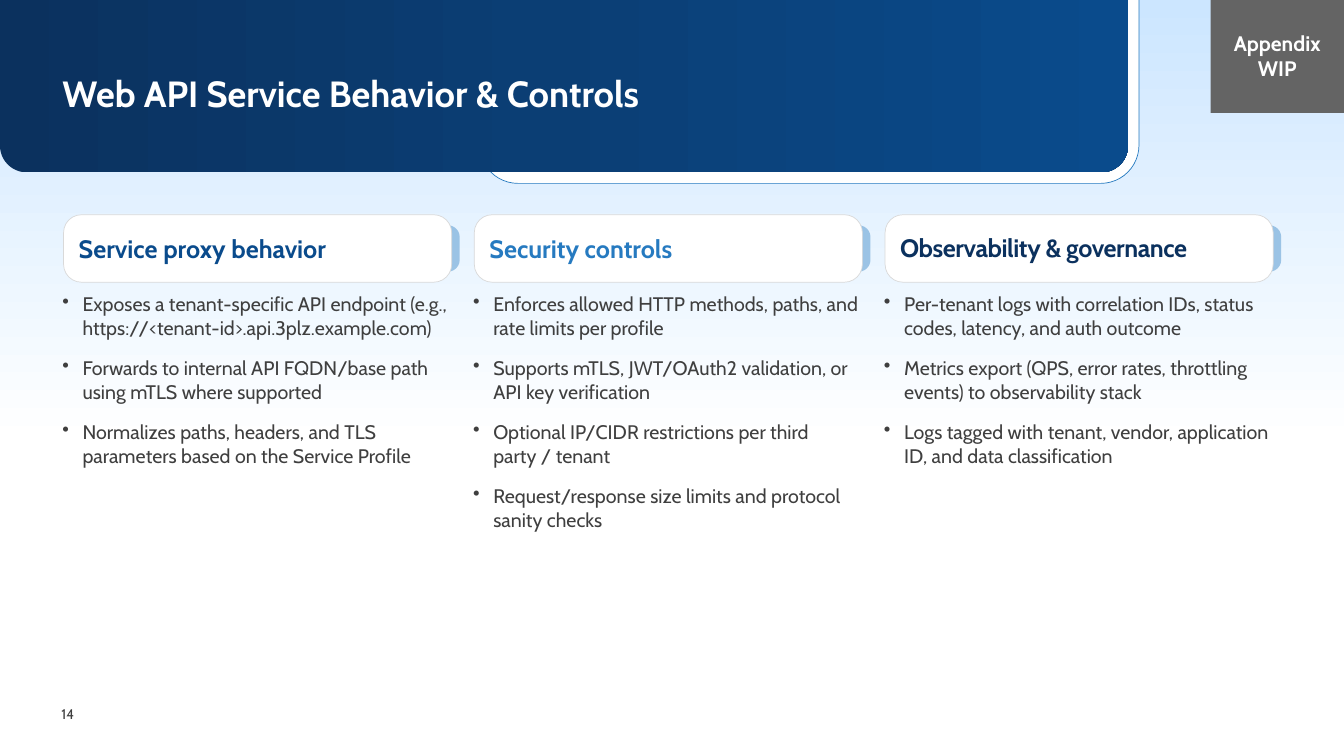
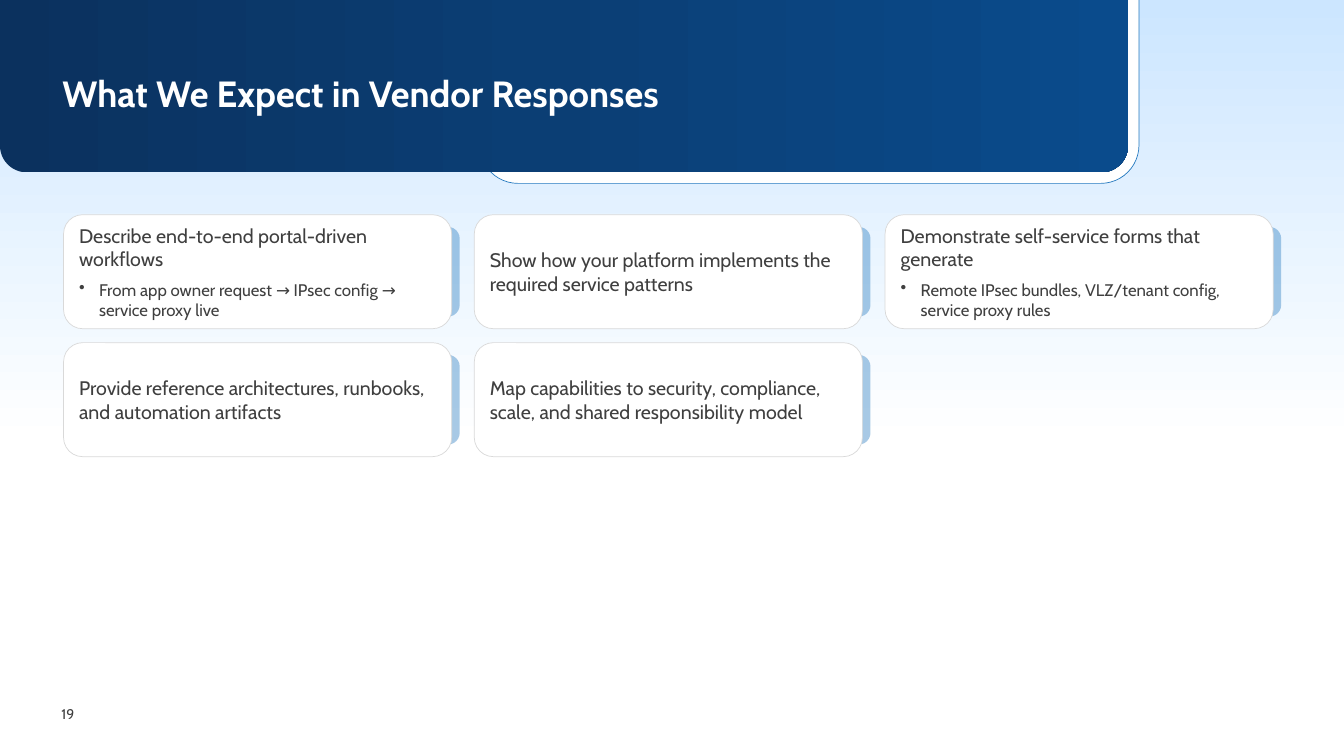
from copy import deepcopy
from dataclasses import dataclass

from lxml.etree import SubElement
from pptx import Presentation
from pptx.dml.color import RGBColor as Rgb
from pptx.enum.shapes import MSO_SHAPE as Preset
from pptx.enum.text import MSO_ANCHOR as Anchor, PP_ALIGN as Align
from pptx.oxml.ns import qn
from pptx.util import Pt


@dataclass(frozen=True)
class Theme:
    font: str = "Cabin"
    navy: str = "0B315E"
    deep: str = "0B3E74"
    royal: str = "0A4B8C"
    accent: str = "267AC0"
    sky: str = "CCE6FF"
    white: str = "FFFFFF"
    text: str = "3F3F3F"
    border: str = "D9D9D9"
    stamp: str = "646464"
    title_size: float = 26
    heading_size: float = 18
    stamp_size: float = 15
    body_size: float = 14
    detail_size: float = 12
    number_size: float = 10


THEME = Theme()
CARD_LEFT, CARD_TOP, CARD_WIDTH = 45.4, 153.4, 277.2
COLUMN_PITCH, ROW_PITCH = 293.4, 91.4
TAB_OFFSET, TAB_WIDTH, TAB_ALPHA = 232.6, 50.4, 40
BULLET_INDENT = 14.4
CARD_INSET = 7.2


def apply(target, formats):
    for name, value in formats.items():
        setattr(target, name, value)


def points(*lengths):
    return [Pt(length) for length in lengths]


def paint(shape, color, alpha=None):
    shape.fill.solid()
    shape.fill.fore_color.rgb = Rgb.from_string(color)
    if alpha is not None:
        swatch = shape._element.spPr.find(f".//{qn('a:srgbClr')}")
        SubElement(swatch, qn("a:alpha"), val=str(alpha * 1000))


def paint_gradient(shape, stops, angle):
    shape.fill.gradient()
    shape.fill.gradient_angle = angle
    stop_list = shape._element.spPr.find(f".//{qn('a:gsLst')}")
    while len(stop_list) < len(stops):
        stop_list.insert(1, deepcopy(stop_list[0]))
    for stop, (position, color) in zip(shape.fill.gradient_stops, stops):
        stop.position = position
        stop.color.rgb = Rgb.from_string(color)


def add_panel(shapes, preset, box, corners=(), outline=None):
    panel = shapes.add_shape(preset, *points(*box))
    panel.shadow.inherit = False
    for index, corner in enumerate(corners):
        panel.adjustments[index] = corner
    if outline:
        panel.line.color.rgb = Rgb.from_string(outline)
        panel.line.width = Pt(0.5)
    else:
        panel.line.fill.background()
    return panel


def set_frame(shape, anchor=Anchor.TOP, insets=(0, 0, 0, 0)):
    frame = shape.text_frame
    sides = ("margin_left", "margin_top", "margin_right", "margin_bottom")
    apply(frame, {"word_wrap": True, "vertical_anchor": anchor,
                  **dict(zip(sides, points(*insets)))})
    return frame


def write(frame, text, size, color=THEME.text, bold=False, bullet=False,
          tracking=None, **spacing):
    first = frame.paragraphs[0]
    paragraph = frame.add_paragraph() if first.runs else first
    if bullet:
        properties = paragraph._p.get_or_add_pPr()
        properties.set("marL", str(Pt(BULLET_INDENT)))
        properties.set("indent", str(-Pt(BULLET_INDENT)))
        SubElement(properties, qn("a:buChar"), char="•")
    apply(paragraph, {"alignment": Align.LEFT, **spacing})
    run = paragraph.add_run()
    run.text = text
    apply(run.font, {"name": THEME.font, "size": Pt(size), "bold": bold})
    run.font.color.rgb = Rgb.from_string(color)
    if tracking is not None:
        run._r.get_or_add_rPr().set("spc", str(round(tracking * 100)))


def add_text_box(slide, box, **frame_formats):
    return set_frame(slide.shapes.add_textbox(*points(*box)), **frame_formats)


def add_page(deck, title, number):
    slide = deck.slides.add_slide(deck.slide_layouts[6])
    page_number = add_text_box(slide, (43.9, 501.1, 28.1, 18),
                               anchor=Anchor.MIDDLE, insets=(0, 3.6, 0, 3.6))
    write(page_number, str(number), THEME.number_size)

    backdrop = add_panel(slide.shapes, Preset.RECTANGLE, (0, 0, 960, 316.8))
    paint_gradient(backdrop, [(0, THEME.sky), (1, THEME.white)], 270)
    rim = add_panel(slide.shapes, Preset.ROUND_2_SAME_RECTANGLE,
                    (342.7, -2.9, 470.9, 133.9), (0, 0.204), THEME.accent)
    paint(rim, THEME.white)
    band = add_panel(slide.shapes, Preset.ROUND_2_SAME_RECTANGLE,
                     (0, 0, 805.7, 123.1), (0, 0.155))
    paint_gradient(band, [(0, THEME.navy), (0.48, THEME.deep), (1, THEME.royal)], 0)

    heading = add_text_box(slide, (44.6, 54, 765.4, 56.2))
    write(heading, title, THEME.title_size, THEME.white, bold=True, line_spacing=0.9)
    return slide


def add_card(slide, column, row, height, tab_height, card_corner, tab_corner, insets):
    left = CARD_LEFT + column * COLUMN_PITCH
    top = CARD_TOP + row * ROW_PITCH
    group = slide.shapes.add_group_shape()
    tab_top = top + (height - tab_height) / 2
    tab = add_panel(group.shapes, Preset.ROUNDED_RECTANGLE,
                    (left + TAB_OFFSET, tab_top, TAB_WIDTH, tab_height), (tab_corner,))
    paint(tab, THEME.accent, TAB_ALPHA)
    card = add_panel(group.shapes, Preset.ROUNDED_RECTANGLE,
                     (left, top, CARD_WIDTH, height), (card_corner,), THEME.border)
    paint(card, THEME.white)
    return set_frame(card, Anchor.MIDDLE, insets)


def add_heading_card(slide, column, text, color, right_inset=CARD_INSET, **formats):
    frame = add_card(slide, column, 0, 48.2, 33.1, 0.265, 0.254,
                     (CARD_INSET, 14.4, right_inset, 14.4))
    write(frame, text, THEME.heading_size, color, bold=True,
          space_after=Pt(6), **formats)


def add_bullet_column(slide, column, items):
    frame = add_text_box(slide, (44.6 + column * COLUMN_PITCH, 208.8, 283, 244.1))
    for index, item in enumerate(items):
        write(frame, item, THEME.body_size, bullet=True,
              space_before=Pt(6 if index else 0), space_after=Pt(6))


def add_statement_card(slide, column, row, statement, detail=None):
    frame = add_card(slide, column, row, 81.4, 64.1, 0.167, 0.167, (CARD_INSET,) * 4)
    write(frame, statement, THEME.body_size, space_after=Pt(6))
    if detail:
        write(frame, detail, THEME.detail_size, bullet=True, space_after=Pt(6))


def add_stamp(slide, text):
    stamp = add_panel(slide.shapes, Preset.RECTANGLE, (864.7, -1.4, 95.3, 82.1))
    paint(stamp, THEME.stamp)
    frame = set_frame(stamp, Anchor.MIDDLE, (7.2, 3.6, 7.2, 3.6))
    write(frame, text, THEME.stamp_size, THEME.white, bold=True, alignment=Align.CENTER)


CONTROLS = [
    ("Service proxy behavior", THEME.royal, {}, [
        "Exposes a tenant-specific API endpoint (e.g., "
        "https://<tenant-id>.api.3plz.example.com)",
        "Forwards to internal API FQDN/base path using mTLS where supported",
        "Normalizes paths, headers, and TLS parameters based on the Service Profile",
    ]),
    ("Security controls", THEME.accent, {}, [
        "Enforces allowed HTTP methods, paths, and rate limits per profile",
        "Supports mTLS, JWT/OAuth2 validation, or API key verification",
        "Optional IP/CIDR restrictions per third party / tenant",
        "Request/response size limits and protocol sanity checks",
    ]),
    ("Observability & governance", THEME.navy,
     {"right_inset": 0, "line_spacing": Pt(20), "tracking": -0.3}, [
         "Per-tenant logs with correlation IDs, status codes, latency, and auth outcome",
         "Metrics export (QPS, error rates, throttling events) to observability stack",
         "Logs tagged with tenant, vendor, application ID, and data classification",
     ]),
]

EXPECTATIONS = [
    ("Describe end-to-end portal-driven workflows",
     "From app owner request → IPsec config → service proxy live"),
    ("Show how your platform implements the required service patterns",),
    ("Demonstrate self-service forms that generate",
     "Remote IPsec bundles, VLZ/tenant config, service proxy rules"),
    ("Provide reference architectures, runbooks, and automation artifacts",),
    ("Map capabilities to security, compliance, scale, and shared responsibility model",),
]


def main():
    deck = Presentation()
    apply(deck, {"slide_width": Pt(960), "slide_height": Pt(540)})

    controls = add_page(deck, "Web API Service Behavior & Controls", 14)
    for column, (heading, color, formats, items) in enumerate(CONTROLS):
        add_heading_card(controls, column, heading, color, **formats)
        add_bullet_column(controls, column, items)
    add_stamp(controls, "Appendix WIP")

    expectations = add_page(deck, "What We Expect in Vendor Responses", 19)
    for index, texts in enumerate(EXPECTATIONS):
        row, column = divmod(index, 3)
        add_statement_card(expectations, column, row, *texts)

    deck.save("out.pptx")


if __name__ == "__main__":
    main()
